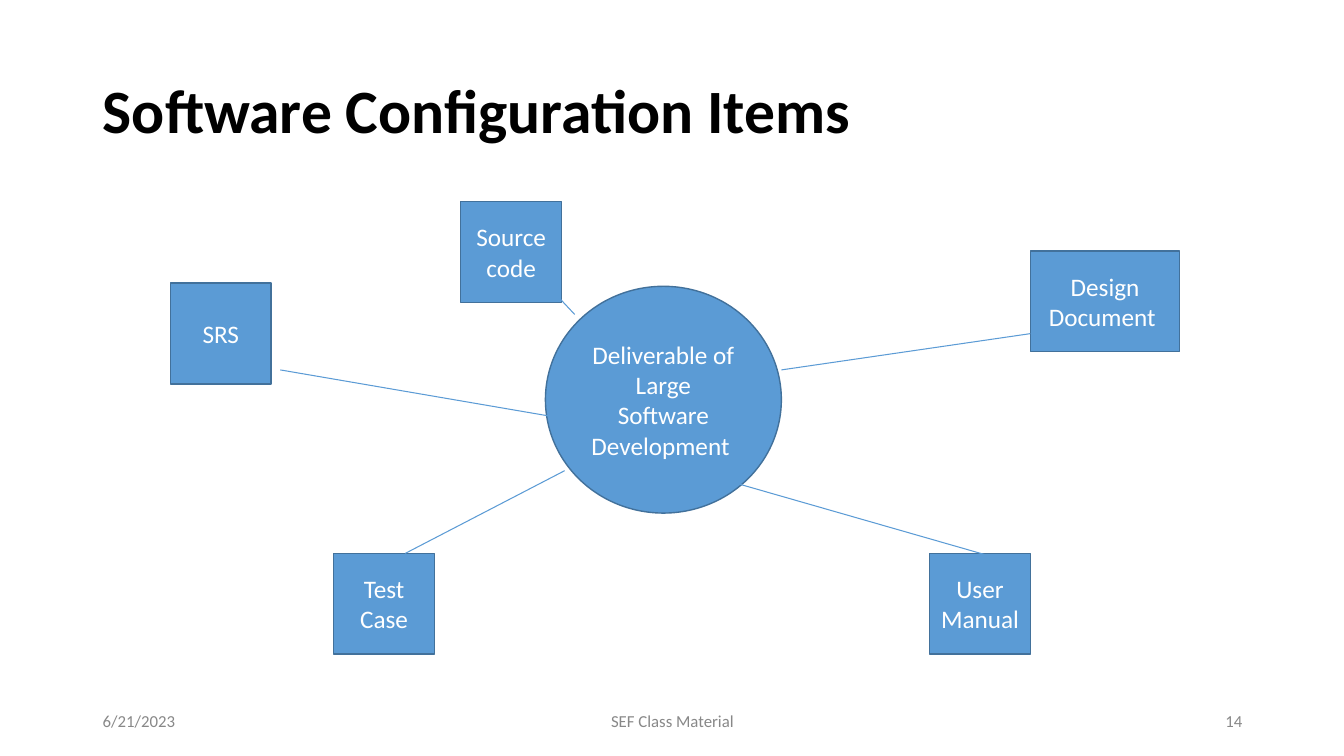
from lxml.etree import SubElement
from pptx import Presentation
from pptx.dml.color import RGBColor
from pptx.enum.shapes import MSO_CONNECTOR, MSO_SHAPE
from pptx.enum.text import MSO_ANCHOR, MSO_AUTO_SIZE, PP_ALIGN
from pptx.oxml.ns import qn
from pptx.util import Inches, Pt

BLUE = RGBColor(0x5B, 0x9B, 0xD5)
DARK_BLUE = RGBColor(0x42, 0x71, 0x9B)
WHITE = RGBColor(0xFF, 0xFF, 0xFF)
BLACK = RGBColor(0x00, 0x00, 0x00)
GRAY = RGBColor(0x88, 0x88, 0x88)

ITEMS = [
    ("SRS", 1.69, 2.81, 1),
    ("Test Case", 3.31, 5.49, 1),
    ("Source code", 4.57, 2, 1),
    ("Design Document ", 10.22, 2.49, 1.48),
    ("User Manual ", 9.22, 5.49, 1),
]
LINKS = [
    (6.8, 4.65, 10.11, 5.6),
    (2.78, 3.67, 6.57, 4.32),
    (5.7, 3.12, 5.41, 2.81),
    (4.02, 5.49, 5.6, 4.67),
    (7.75, 3.67, 10.22, 3.31),
]
FOOTERS = [
    ("6/21/2023", 0.92, 3, PP_ALIGN.LEFT),
    ("SEF Class Material", 4.42, 4.5, PP_ALIGN.CENTER),
    ("14", 9.42, 3, PP_ALIGN.RIGHT),
]


class DiagramPage:
    """Draws the styled elements of one diagram slide."""

    text_style = {"name": "Calibri", "bold": False}
    frame_style = {
        "word_wrap": True,
        "auto_size": MSO_AUTO_SIZE.NONE,
        "vertical_anchor": MSO_ANCHOR.MIDDLE,
    }

    def __init__(self, deck):
        self.page = deck.slides.add_slide(deck.slide_layouts[5])

    def fill_text(self, box, lines, size, color, align, **extra):
        frame = box.text_frame
        for name, value in self.frame_style.items():
            setattr(frame, name, value)
        frame.text = "\n".join(lines)
        for para in frame.paragraphs:
            para.alignment = align
            for span in para.runs:
                span.font.color.rgb = color
                style = {**self.text_style, "size": Pt(size), **extra}
                for name, value in style.items():
                    setattr(span.font, name, value)

    def title(self, text, left, top, width, height):
        box = self.page.shapes.title
        place = {"left": left, "top": top, "width": width, "height": height}
        for name, value in place.items():
            setattr(box, name, Inches(value))
        self.fill_text(box, [text], 44, BLACK, PP_ALIGN.LEFT, bold=True)
        box.text_frame.paragraphs[0].line_spacing = 0.9

    def node(self, kind, lines, *place):
        box = self.page.shapes.add_shape(kind, *map(Inches, place))
        box.shadow.inherit = False
        box.fill.solid()
        box.fill.fore_color.rgb = BLUE
        box.line.color.rgb = DARK_BLUE
        box.line.width = Pt(1)
        self.fill_text(box, lines, 18, WHITE, PP_ALIGN.CENTER)

    def link(self, *ends):
        connector = self.page.shapes.add_connector(
            MSO_CONNECTOR.STRAIGHT, *map(Inches, ends))
        connector.line.color.rgb = BLUE
        connector.line.width = Pt(0.75)
        SubElement(connector._element.spPr, qn("a:effectLst"))

    def footer(self, text, left, width, align):
        box = self.page.shapes.add_textbox(
            Inches(left), Inches(6.95), Inches(width), Inches(0.4))
        self.fill_text(box, [text], 12, GRAY, align)


def main():
    deck = Presentation()
    deck.slide_width, deck.slide_height = Inches(13.33), Inches(7.5)
    diagram = DiagramPage(deck)
    diagram.title("Software Configuration Items", 0.92, 0.4, 11.5, 1.45)
    diagram.node(MSO_SHAPE.OVAL,
                 ["Deliverable of ", "Large Software Development "],
                 5.41, 2.84, 2.34, 2.25)
    for text, left, top, width in ITEMS:
        diagram.node(MSO_SHAPE.RECTANGLE, [text], left, top, width, 1)
    for ends in LINKS:
        diagram.link(*ends)
    for footer in FOOTERS:
        diagram.footer(*footer)
    deck.save("out.pptx")


if __name__ == "__main__":
    main()
